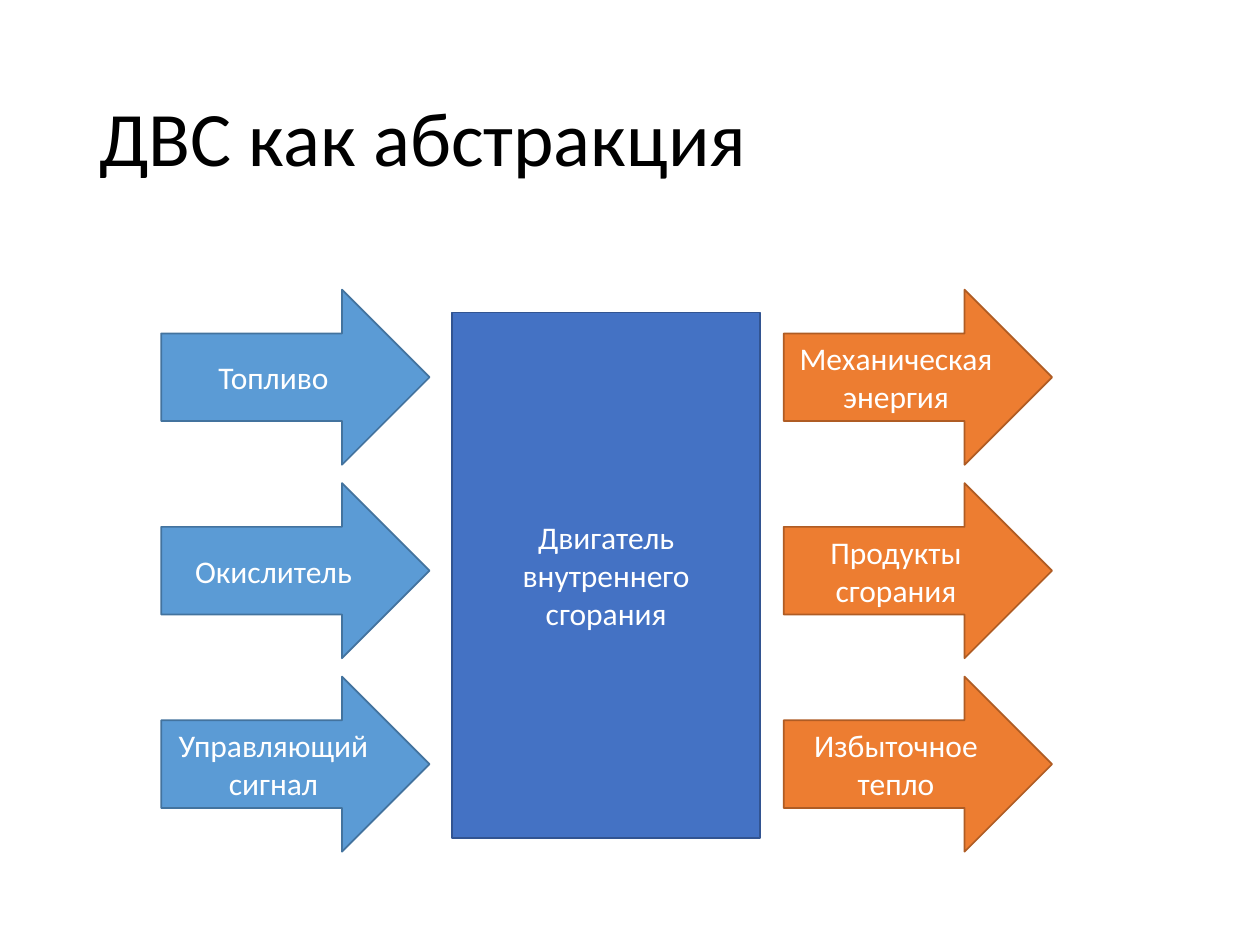
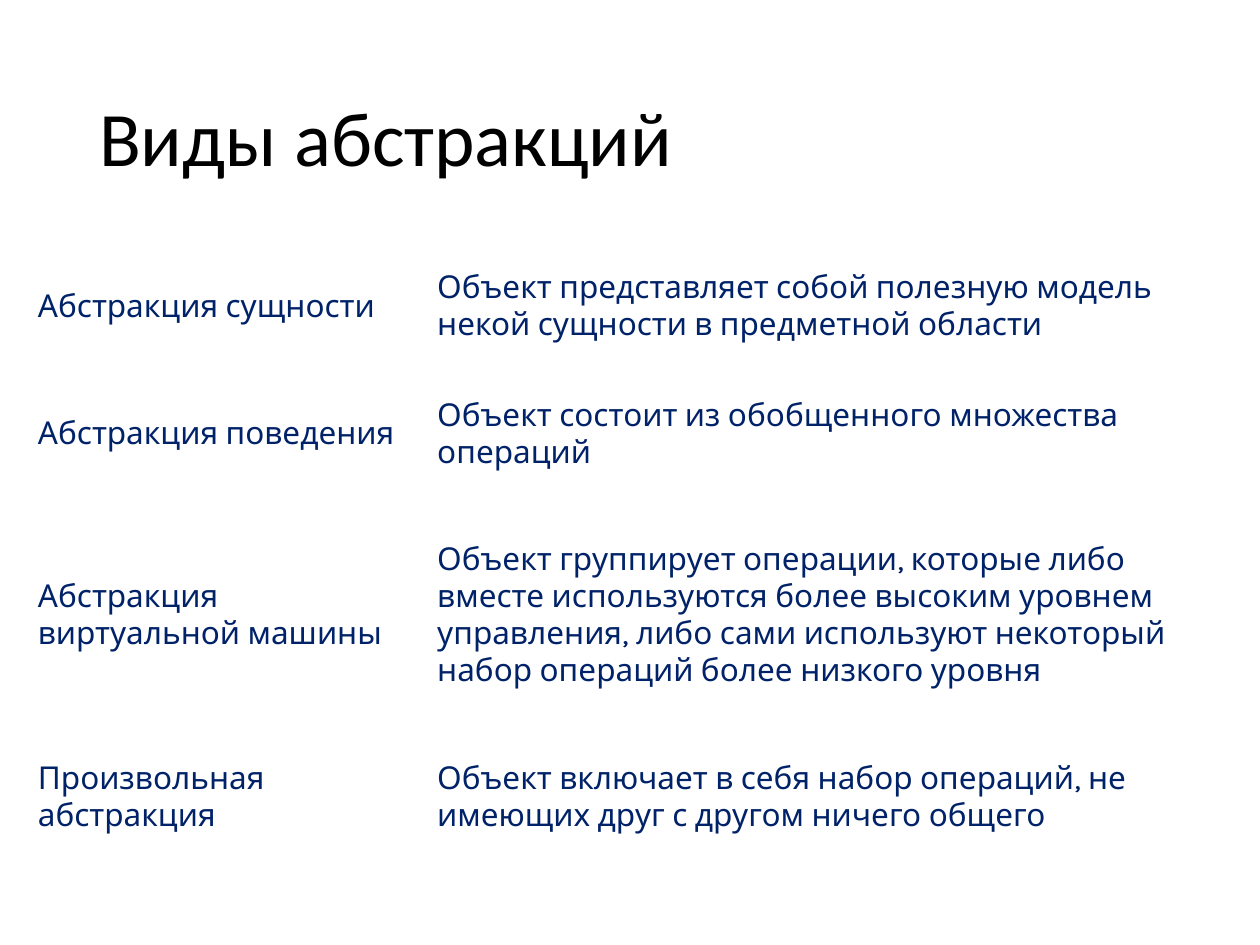
"""Builds two slides about abstraction: the engine as a black box and the kinds of abstraction."""
from dataclasses import dataclass

from pptx import Presentation
from pptx.dml.color import RGBColor
from pptx.enum.shapes import MSO_SHAPE
from pptx.enum.text import MSO_ANCHOR, PP_ALIGN
from pptx.util import Cm, Pt


@dataclass(frozen=True)
class Theme:
    """Colours, fonts and type sizes of the deck."""
    background: str = "FFFFFF"
    title_text: str = "000000"
    shape_text: str = "FFFFFF"
    table_text: str = "002268"
    engine: tuple = ("4472C4", "325491")
    inputs: tuple = ("5B9BD5", "43739E")
    outputs: tuple = ("ED7D31", "AF5C24")
    font: str = "Calibri"
    table_font: str = "Karla"
    title_size: int = 44
    body_size: int = 18
    outline: int = 1


THEME = Theme()
ENGINE = "Двигатель\nвнутреннего сгорания"
INPUTS = ["Топливо", "Окислитель", "Управляющий сигнал"]
OUTPUTS = ["Механическая энергия", "Продукты сгорания", "Избыточное тепло"]
KINDS = [
    ("Абстракция сущности",
     "Объект представляет собой полезную модель некой сущности в предметной области"),
    ("Абстракция поведения",
     "Объект состоит из обобщенного множества операций"),
    ("Абстракция виртуальной машины",
     "Объект группирует операции, которые либо вместе используются более высоким "
     "уровнем управления, либо сами используют некоторый набор операций более низкого уровня"),
    ("Произвольная абстракция",
     "Объект включает в себя набор операций, не имеющих друг с другом ничего общего"),
]
KIND_WIDTHS = [8.05, 16.36]
KIND_HEIGHTS = [2.57, 2.57, 4.75, 2.57]


def write(frame, text, *, color, font=THEME.font, size=THEME.body_size,
          align=PP_ALIGN.LEFT, spacing=None):
    """Fill a text frame, one paragraph per line of text."""
    frame.word_wrap = True
    frame.text = text
    for paragraph in frame.paragraphs:
        paragraph.alignment = align
        paragraph.line_spacing = spacing
        for run in paragraph.runs:
            run.font.name = font
            run.font.size = Pt(size)
            run.font.color.rgb = RGBColor.from_string(color)


def add_titled_slide(deck, title):
    """Add a blank slide with the shared background and title."""
    slide = deck.slides.add_slide(deck.slide_layouts[6])
    slide.background.fill.solid()
    slide.background.fill.fore_color.rgb = RGBColor.from_string(THEME.background)
    heading = slide.shapes.add_textbox(Cm(1.75), Cm(1.02), Cm(21.9), Cm(3.68)).text_frame
    heading.vertical_anchor = MSO_ANCHOR.MIDDLE
    write(heading, title, color=THEME.title_text, size=THEME.title_size, spacing=0.9)
    return slide


def add_block(slide, preset, box, text, colors):
    """Add an outlined shape with centred text."""
    block = slide.shapes.add_shape(preset, *map(Cm, box))
    fill, outline = map(RGBColor.from_string, colors)
    block.shadow.inherit = False
    block.fill.solid()
    block.fill.fore_color.rgb = fill
    block.line.color.rgb = outline
    block.line.width = Pt(THEME.outline)
    block.text_frame.vertical_anchor = MSO_ANCHOR.MIDDLE
    write(block.text_frame, text, color=THEME.shape_text, align=PP_ALIGN.CENTER)


def add_flows(slide, left, labels, colors):
    """Add a column of evenly spaced arrows."""
    top, step = 5.84, 3.9
    for index, label in enumerate(labels):
        box = (left, top + index * step, 5.41, 3.53)
        add_block(slide, MSO_SHAPE.RIGHT_ARROW, box, label, colors)


def add_kinds_table(slide):
    """Add the table of abstraction kinds and their meaning."""
    table = slide.shapes.add_table(
        len(KINDS), len(KIND_WIDTHS), Cm(0.51), Cm(4.9),
        Cm(sum(KIND_WIDTHS)), Cm(sum(KIND_HEIGHTS))).table
    table.first_row = False
    table.horz_banding = False
    for column, width in zip(table.columns, KIND_WIDTHS):
        column.width = Cm(width)
    for row, height, texts in zip(table.rows, KIND_HEIGHTS, KINDS):
        row.height = Cm(height)
        for cell, text in zip(row.cells, texts):
            cell.fill.solid()
            cell.fill.fore_color.rgb = RGBColor.from_string(THEME.background)
            cell.vertical_anchor = MSO_ANCHOR.MIDDLE
            write(cell.text_frame, text, color=THEME.table_text, font=THEME.table_font)


def main():
    """Build and save the deck."""
    deck = Presentation()
    deck.slide_width, deck.slide_height = Cm(25.4), Cm(19.05)

    engine_slide = add_titled_slide(deck, "ДВС как абстракция")
    add_block(engine_slide, MSO_SHAPE.RECTANGLE, (9.12, 6.3, 6.2, 10.59), ENGINE, THEME.engine)
    add_flows(engine_slide, 15.8, OUTPUTS, THEME.outputs)
    add_flows(engine_slide, 3.25, INPUTS, THEME.inputs)

    kinds_slide = add_titled_slide(deck, "Виды абстракций")
    add_kinds_table(kinds_slide)

    deck.save("out.pptx")


if __name__ == "__main__":
    main()
